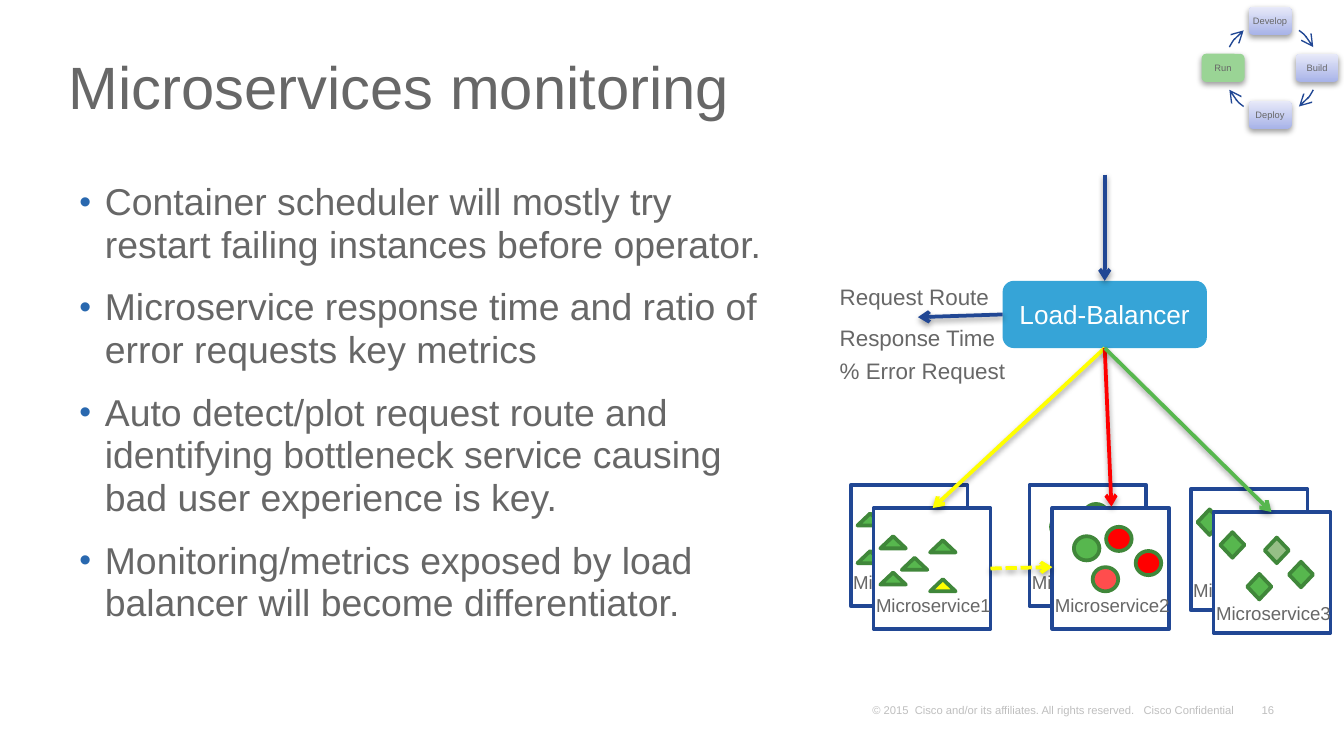
from pptx import Presentation
from pptx.dml.color import RGBColor
from pptx.enum.dml import MSO_LINE
from pptx.enum.shapes import MSO_CONNECTOR, MSO_SHAPE
from pptx.enum.text import MSO_ANCHOR, MSO_AUTO_SIZE, PP_ALIGN
from pptx.oxml import parse_xml
from pptx.oxml.ns import nsdecls
from pptx.util import Pt

PX = 9144  # 100 px to the inch
RECT, ROUND, ARC = MSO_SHAPE.RECTANGLE, MSO_SHAPE.ROUNDED_RECTANGLE, MSO_SHAPE.ARC
TRI, OVAL, GEM = MSO_SHAPE.ISOSCELES_TRIANGLE, MSO_SHAPE.OVAL, MSO_SHAPE.DIAMOND
LEFT, MID, RIGHT = PP_ALIGN.LEFT, PP_ALIGN.CENTER, PP_ALIGN.RIGHT
TOP, CENTER, BASE = MSO_ANCHOR.TOP, MSO_ANCHOR.MIDDLE, MSO_ANCHOR.BOTTOM
DASH, FIXED = MSO_LINE.SQUARE_DOT, MSO_AUTO_SIZE.NONE
HEX = {
    "text": "676767", "faint": "BFBFBF", "white": "FFFFFF", "navy": "214794",
    "sky": "36A4D7", "dot": "2968AF", "green": "57B74E", "edge": "40873A",
    "moss": "96BF86", "mint": "9AD495", "yellow": "FFFF00", "red": "FF0000",
    "pale": "FF4D4D", "low": "A8B3E8", "high": "E8EAF9",
}
RGB = {name: RGBColor.from_string(code) for name, code in HEX.items()}
NS = nsdecls("a")
SHADOW = (f'<a:outerShdw {NS} blurRad="40000" dist="20000" dir="5400000" rotWithShape="0">'
          '<a:srgbClr val="000000"><a:alpha val="38000"/></a:srgbClr></a:outerShdw>')
HEAD = f'<a:tailEnd {NS} type="arrow"/>'
BULLET = (f'<a:buClr {NS}><a:srgbClr val="{HEX["dot"]}"/></a:buClr>',
          f'<a:buSzPct {NS} val="90000"/>',
          f'<a:buFont {NS} typeface="Arial"/>',
          f'<a:buChar {NS} char="•"/>')

deck = Presentation()
deck.slide_width = 1000 * PX
deck.slide_height = deck.slide_width * 9 // 16
slide = deck.slides.add_slide(deck.slide_layouts[1])
shapes = slide.shapes


def add(kind, at, fill=None, edge=None, text="", size=12, hue="text",
        align=MID, anchor=CENTER, pad=(10, 5), wrap=True):
    """Add a preset shape, or a text box when kind is None."""
    at = [n * PX for n in at]
    if kind is None:
        shape = shapes.add_textbox(*at)
    else:
        shape = shapes.add_shape(kind, *at)
        shape.shadow.inherit = False
        for part, tint in ((shape.fill, fill), (shape.line.fill, edge)):
            if tint:
                part.solid()
                part.fore_color.rgb = RGB[tint]
            else:
                part.background()
        if edge:
            shape.line.width = Pt(2)
    if text:
        frame = shape.text_frame
        look = {"word_wrap": wrap, "vertical_anchor": anchor,
                "margin_left": pad[0] * PX, "margin_right": pad[0] * PX,
                "margin_top": pad[1] * PX, "margin_bottom": pad[1] * PX}
        for key, val in look.items():
            setattr(frame, key, val)
        para = frame.paragraphs[0]
        para.alignment = align
        run = para.add_run()
        run.text = text
        for key, val in {"name": "Arial", "size": Pt(size)}.items():
            setattr(run.font, key, val)
        run.font.color.rgb = RGB[hue]
    return shape


def arrow(start, end, tint, dash=None):
    line = shapes.add_connector(MSO_CONNECTOR.STRAIGHT, *[n * PX for n in start + end])
    line.line.color.rgb = RGB[tint]
    line.line.width = Pt(2)
    if dash:
        line.line.dash_style = dash
    props = line._element.spPr
    props.get_or_add_ln().append(parse_xml(HEAD))
    props.get_or_add_effectLst().append(parse_xml(SHADOW))


# Footer
add(None, (931, 519, 24, 17), text="16", size=6, hue="faint",
    align=RIGHT, anchor=BASE, pad=(7, 3), wrap=False)
add(None, (642, 519, 291, 17), size=6, hue="faint", align=LEFT, anchor=BASE, pad=(7, 3),
    text="© 2015  Cisco and/or its affiliates. All rights reserved.   Cisco Confidential")

# Title and list
points = [
    "Container scheduler will mostly try restart failing instances before operator.",
    "Microservice response time and ratio of error requests key metrics",
    "Auto detect/plot request route and identifying bottleneck service causing "
    "bad user experience is key.",
    "Monitoring/metrics exposed by load balancer will become differentiator.",
]
title, body = shapes.title, slide.placeholders[1]
for hold, at, anchor, size, space, lines in (
    (title, (41, 29, 913, 80), CENTER, 32, 0.8, ["Microservices monitoring"]),
    (body, (49, 130, 528, 387), TOP, 20, 0.95, points),
):
    hold.left, hold.top, hold.width, hold.height = [n * PX for n in at]
    frame = hold.text_frame
    for key, val in {"word_wrap": True, "auto_size": FIXED, "vertical_anchor": anchor}.items():
        setattr(frame, key, val)
    for i, line in enumerate(lines):
        para = frame.add_paragraph() if i else frame.paragraphs[0]
        if hold is body:
            props = para._p.get_or_add_pPr()
            props.set("marL", str(19 * PX))
            props.set("indent", str(-19 * PX))
            for item in BULLET:
                props.append(parse_xml(item))
        look = {"alignment": LEFT, "line_spacing": space,
                "space_before": Pt(10.8 if i else 0)}
        for key, val in look.items():
            setattr(para, key, val)
        run = para.add_run()
        run.text = line
        for key, val in {"name": "Arial", "size": Pt(size)}.items():
            setattr(run.font, key, val)
        run.font.color.rgb = RGB["text"]

# Life cycle ring: each stage with the arc that follows it
for name, x, y, turn in (("Develop", 929, 5, 306), ("Build", 964, 40, 27),
                         ("Deploy", 929, 75, 126), ("Run", 894, 40, 207)):
    node = add(ROUND, (x, y, 32, 21), "mint", text=name, size=5, pad=(2, 2))
    if name != "Run":
        node.fill.gradient()
        node.fill.gradient_angle = 90
        for stop, tint in zip(node.fill.gradient_stops, ("low", "high")):
            stop.color.rgb = RGB[tint]
    node._element.spPr.get_or_add_effectLst().append(parse_xml(SHADOW))
    arc = add(ARC, (911, 16, 70, 70), edge="navy")
    arc.line.width = Pt(0.75)
    for i, angle in enumerate((turn, turn + 27)):
        arc.adjustments[i] = angle % 360 * 0.6  # 60000ths of a degree over 100000
    arc._element.spPr.get_or_add_ln().append(parse_xml(HEAD))

# Services: a back and a front tile, with marks placed from the tile corner
services = [
    ("Microservice1", TRI, (19, 9), (633, 361), 59,
     [(5, 21, "green"), (5, 49, "green")],
     [(5, 21, "green"), (42, 24, "green"), (5, 48, "green"),
      (42, 53, "yellow"), (21, 37, "green")]),
    ("Microservice2", OVAL, (19, 18), (766, 361), 59,
     [(16, 22, "green"), (40, 14, "green")],
     [(16, 21, "green"), (30, 44, "pale"), (40, 14, "red"), (62, 32, "red")]),
    ("Microservice3", GEM, (18, 19), (886, 364), 62,
     [(5, 15, "green")],
     [(56, 37, "green"), (25, 46, "green"), (5, 15, "green"), (38, 19, "moss")]),
]
for name, kind, size, (left, top), drop, *tiles in services:
    for i, marks in enumerate(tiles):
        x, y = left + 17 * i, top + 17 * i
        add(RECT, (x, y, 87, 90), "white", "navy")
        for dx, dy, tint in marks:
            add(kind, (x + dx, y + dy, *size), tint, "edge")
        add(None, (x - 14, y + drop, 117, 27), text=name, size=10, anchor=TOP)

# Load balancer, its routes and metrics
arrow((737, 423), (783, 422), "yellow", DASH)
add(ROUND, (746, 209, 152, 50), "sky", text="Load-Balancer", size=14, hue="white")
for end, tint in (((694, 378), "yellow"), ((827, 377), "red"), ((946, 381), "green")):
    arrow((822, 259), end, tint)
arrow((822, 130), (822, 209), "navy")
for y, text in ((206, "Request Route"), (236, "Response Time"), (261, "% Error Request")):
    add(None, (615, y, 147, 30), text=text, align=LEFT, anchor=TOP)
arrow((746, 234), (683, 236), "navy")

deck.save("out.pptx")
